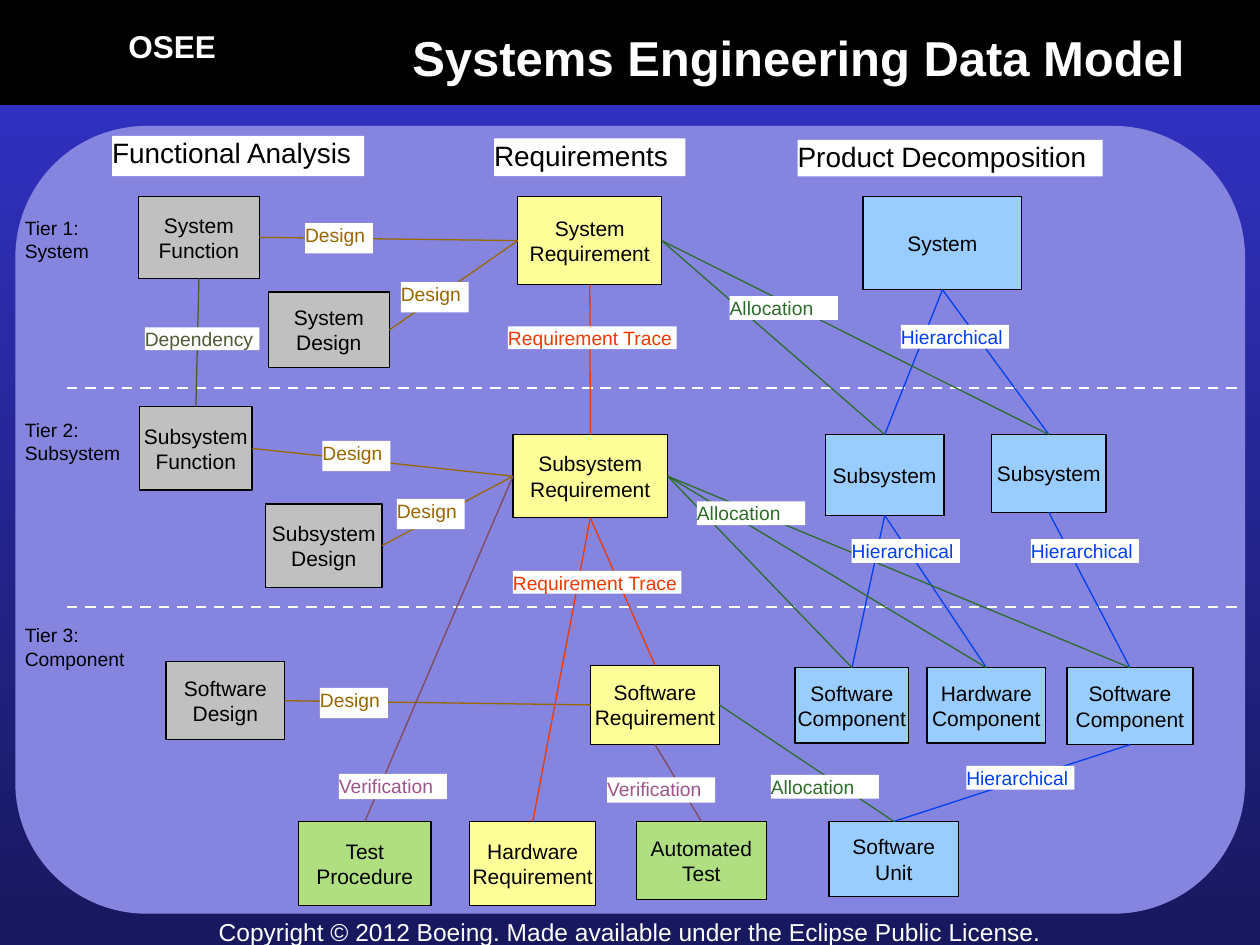
from typing import NamedTuple

from lxml import etree
from pptx import Presentation
from pptx.dml.color import RGBColor
from pptx.enum.dml import MSO_LINE
from pptx.enum.shapes import MSO_CONNECTOR, MSO_SHAPE
from pptx.enum.text import MSO_ANCHOR, PP_ALIGN
from pptx.oxml.ns import qn
from pptx.util import Cm, Pt

RECTANGLE, ROUNDED = MSO_SHAPE.RECTANGLE, MSO_SHAPE.ROUNDED_RECTANGLE
STRAIGHT, DASH = MSO_CONNECTOR.STRAIGHT, MSO_LINE.DASH
TOP, MIDDLE = MSO_ANCHOR.TOP, MSO_ANCHOR.MIDDLE
LEFT_ALIGN, CENTER, RIGHT_ALIGN = PP_ALIGN.LEFT, PP_ALIGN.CENTER, PP_ALIGN.RIGHT
TOP_SIDE, LEFT_SIDE, BOTTOM_SIDE, RIGHT_SIDE = range(4)

BLACK = RGBColor(0x00, 0x00, 0x00)
WHITE = RGBColor(0xFF, 0xFF, 0xFF)
SKY = RGBColor(0x33, 0x33, 0xCC)
NAVY = RGBColor(0x18, 0x18, 0x5E)
LAVENDER = RGBColor(0x85, 0x85, 0xE0)
YELLOW = RGBColor(0xFF, 0xFF, 0x99)
BLUE = RGBColor(0x99, 0xCC, 0xFF)
GRAY = RGBColor(0xC0, 0xC0, 0xC0)
LIME = RGBColor(0xB0, 0xDF, 0x81)
BROWN = RGBColor(0x99, 0x66, 0x00)
GREEN = RGBColor(0x2D, 0x6C, 0x2A)
ORANGE = RGBColor(0xEE, 0x3A, 0x02)
OLIVE = RGBColor(0x4E, 0x59, 0x35)
ROYAL = RGBColor(0x00, 0x3F, 0xF0)
MAROON = RGBColor(0x7E, 0x4A, 0x5A)
PLUM = RGBColor(0x9C, 0x54, 0x89)


class Area(NamedTuple):
    left: float
    top: float
    width: float
    height: float


class Element(NamedTuple):
    text: str
    area: Area
    fill: RGBColor


class Link(NamedTuple):
    source: str
    source_side: int
    target: str
    target_side: int


class Relation(NamedTuple):
    label: str
    label_color: RGBColor
    line_color: RGBColor
    width: float
    height: float
    label_spots: list[tuple[float, float]]
    links: list[Link]


ELEMENTS = {
    "system requirement": Element("System\nRequirement", Area(10.44, 3.96, 2.9, 1.78), YELLOW),
    "subsystem requirement": Element("Subsystem\nRequirement", Area(10.34, 8.76, 3.12, 1.68), YELLOW),
    "software requirement": Element("Software\nRequirement", Area(11.91, 13.41, 2.59, 1.6), YELLOW),
    "hardware requirement": Element("Hardware\nRequirement", Area(9.47, 16.56, 2.54, 1.7), YELLOW),
    "system": Element("System", Area(17.4, 3.96, 3.2, 1.88), BLUE),
    "subsystem 1": Element("Subsystem", Area(16.64, 8.76, 2.39, 1.63), BLUE),
    "subsystem 2": Element("Subsystem", Area(19.99, 8.76, 2.31, 1.57), BLUE),
    "software 1": Element("Software\nComponent", Area(16.03, 13.46, 2.29, 1.52), BLUE),
    "hardware": Element("Hardware\nComponent", Area(18.69, 13.46, 2.39, 1.52), BLUE),
    "software 2": Element("Software\nComponent", Area(21.51, 13.46, 2.54, 1.55), BLUE),
    "unit": Element("Software\nUnit", Area(16.71, 16.56, 2.62, 1.52), BLUE),
    "system function": Element("System\nFunction", Area(2.79, 3.96, 2.44, 1.65), GRAY),
    "system design": Element("System\nDesign", Area(5.41, 5.89, 2.44, 1.52), GRAY),
    "subsystem function": Element("Subsystem\nFunction", Area(2.82, 8.2, 2.26, 1.68), GRAY),
    "subsystem design": Element("Subsystem\nDesign", Area(5.36, 10.16, 2.34, 1.68), GRAY),
    "software design": Element("Software\nDesign", Area(3.35, 13.34, 2.39, 1.57), GRAY),
    "procedure": Element("Test\nProcedure", Area(6.02, 16.56, 2.67, 1.7), LIME),
    "automated test": Element("Automated\nTest", Area(12.83, 16.56, 2.62, 1.57), LIME),
}


def across(source: str, target: str) -> Link:
    return Link(source, RIGHT_SIDE, target, LEFT_SIDE)


def down(source: str, target: str) -> Link:
    return Link(source, BOTTOM_SIDE, target, TOP_SIDE)


def allocate(source: str, target: str) -> Link:
    return Link(source, RIGHT_SIDE, target, TOP_SIDE)


RELATIONS = [
    Relation("Design", BROWN, BROWN, 1.37, 0.61,
             [(6.15, 4.5), (8.08, 5.69), (6.5, 8.89), (8, 10.06), (6.45, 13.87)],
             [across("system function", "system requirement"),
              across("system design", "system requirement"),
              across("subsystem function", "subsystem requirement"),
              across("subsystem design", "subsystem requirement"),
              across("software design", "software requirement")]),
    Relation("Dependency", OLIVE, OLIVE, 2.31, 0.46, [(2.92, 6.6)],
             [down("system function", "subsystem function")]),
    Relation("Verification", PLUM, MAROON, 2.18, 0.51, [(6.83, 15.6), (12.24, 15.67)],
             [Link("subsystem requirement", LEFT_SIDE, "procedure", TOP_SIDE),
              down("software requirement", "automated test")]),
    Relation("Requirement Trace", ORANGE, ORANGE, 3.4, 0.46, [(10.24, 6.58), (10.34, 11.51)],
             [down("system requirement", "subsystem requirement"),
              down("subsystem requirement", "hardware requirement"),
              down("subsystem requirement", "software requirement")]),
    Relation("Hierarchical", ROYAL, ROYAL, 2.18, 0.48,
             [(18.16, 6.55), (17.17, 10.87), (20.78, 10.87), (19.48, 15.44)],
             [down("system", "subsystem 1"), down("system", "subsystem 2"),
              down("subsystem 1", "software 1"), down("subsystem 1", "hardware"),
              down("subsystem 2", "software 2"), down("software 2", "unit")]),
    Relation("Allocation", GREEN, GREEN, 2.18, 0.48,
             [(14.71, 5.97), (14.05, 10.11), (15.54, 15.62)],
             [allocate("system requirement", "subsystem 1"),
              allocate("system requirement", "subsystem 2"),
              allocate("subsystem requirement", "software 1"),
              allocate("subsystem requirement", "hardware"),
              allocate("subsystem requirement", "software 2"),
              allocate("software requirement", "unit")]),
]

HEADINGS = [
    ("Functional Analysis", Area(2.26, 2.74, 5.08, 0.81)),
    ("Requirements", Area(9.96, 2.79, 3.86, 0.76)),
    ("Product Decomposition", Area(16.08, 2.82, 6.15, 0.74)),
]
TIERS = [("Tier 1:\nSystem", 4.24), ("Tier 2:\nSubsystem", 8.31), ("Tier 3:\nComponent", 12.45)]
TIER_BORDERS = [7.82, 12.24]


def write(shape, text: str, size: float, color: RGBColor, align=LEFT_ALIGN,
          anchor=TOP, wrap: bool = True, bold: bool = False) -> None:
    frame = shape.text_frame
    frame.text = text
    frame.word_wrap = wrap
    frame.vertical_anchor = anchor
    for paragraph in frame.paragraphs:
        paragraph.alignment = align
        font = paragraph.runs[0].font
        font.name, font.size, font.bold = "Arial", Pt(size), bold
        font.color.rgb = color


def add_text(slide, area: Area, text: str, size: float, color: RGBColor, **style) -> None:
    write(slide.shapes.add_textbox(*map(Cm, area)), text, size, color, **style)


def add_panel(slide, area: Area, fill: RGBColor, kind=RECTANGLE, outlined: bool = False):
    panel = slide.shapes.add_shape(kind, *map(Cm, area))
    panel.shadow.inherit = False
    panel.fill.solid()
    panel.fill.fore_color.rgb = fill
    if outlined:
        panel.line.color.rgb = BLACK
        panel.line.width = Pt(0.75)
    else:
        panel.line.fill.background()
    return panel


def add_label(slide, area: Area, text: str, size: float, color: RGBColor) -> None:
    label = add_panel(slide, area, WHITE)
    write(label, text, size, color)
    frame = label.text_frame
    frame.margin_left = frame.margin_top = frame.margin_right = frame.margin_bottom = 0


def add_line(slide, color: RGBColor, width: float, start=(0, 0), end=(0, 0)):
    line = slide.shapes.add_connector(STRAIGHT, *map(Cm, (*start, *end)))
    line.line.color.rgb = color
    line.line.width = Pt(width)
    etree.SubElement(line._element.spPr, qn("a:effectLst"))
    return line


def main() -> None:
    presentation = Presentation()
    presentation.slide_width, presentation.slide_height = Cm(25.4), Cm(19.05)
    slide = presentation.slides.add_slide(presentation.slide_layouts[6])
    backdrop = slide.background.fill
    backdrop.gradient()
    backdrop.gradient_angle = 270
    for stop, color in zip(backdrop.gradient_stops, (SKY, NAVY)):
        stop.color.rgb = color

    add_panel(slide, Area(0, 0, 25.4, 2.11), BLACK, outlined=True)
    add_text(slide, Area(2.34, 0.43, 2.29, 1.02), "OSEE", 18, WHITE, wrap=False, bold=True)
    add_panel(slide, Area(0.31, 2.54, 24.79, 15.88), LAVENDER, ROUNDED)
    add_text(slide, Area(4.45, 0.43, 19.68, 1.35), "Systems Engineering Data Model", 28, WHITE,
             align=RIGHT_ALIGN, bold=True)
    add_text(slide, Area(1.27, 18.36, 22.86, 0.69),
             "Copyright © 2012 Boeing. Made available under the Eclipse Public License.",
             14, WHITE, align=CENTER)

    for tier, top in TIERS:
        add_text(slide, Area(0.25, top, 3.66, 1.85), tier, 11, BLACK)
    for height in TIER_BORDERS:
        add_line(slide, WHITE, 1.5, (24.93, height), (1.24, height)).line.dash_style = DASH

    boxes = {}
    for key, element in ELEMENTS.items():
        boxes[key] = add_panel(slide, element.area, element.fill, outlined=True)
        write(boxes[key], element.text, 12, BLACK, CENTER, MIDDLE, wrap=False)
    for relation in RELATIONS:
        for link in relation.links:
            line = add_line(slide, relation.line_color, 0.75)
            line.begin_connect(boxes[link.source], link.source_side)
            line.end_connect(boxes[link.target], link.target_side)
    for relation in RELATIONS:
        for spot in relation.label_spots:
            add_label(slide, Area(*spot, relation.width, relation.height),
                      relation.label, 11, relation.label_color)
    for heading, area in HEADINGS:
        add_label(slide, area, heading, 16, BLACK)

    presentation.save("out.pptx")


if __name__ == "__main__":
    main()
